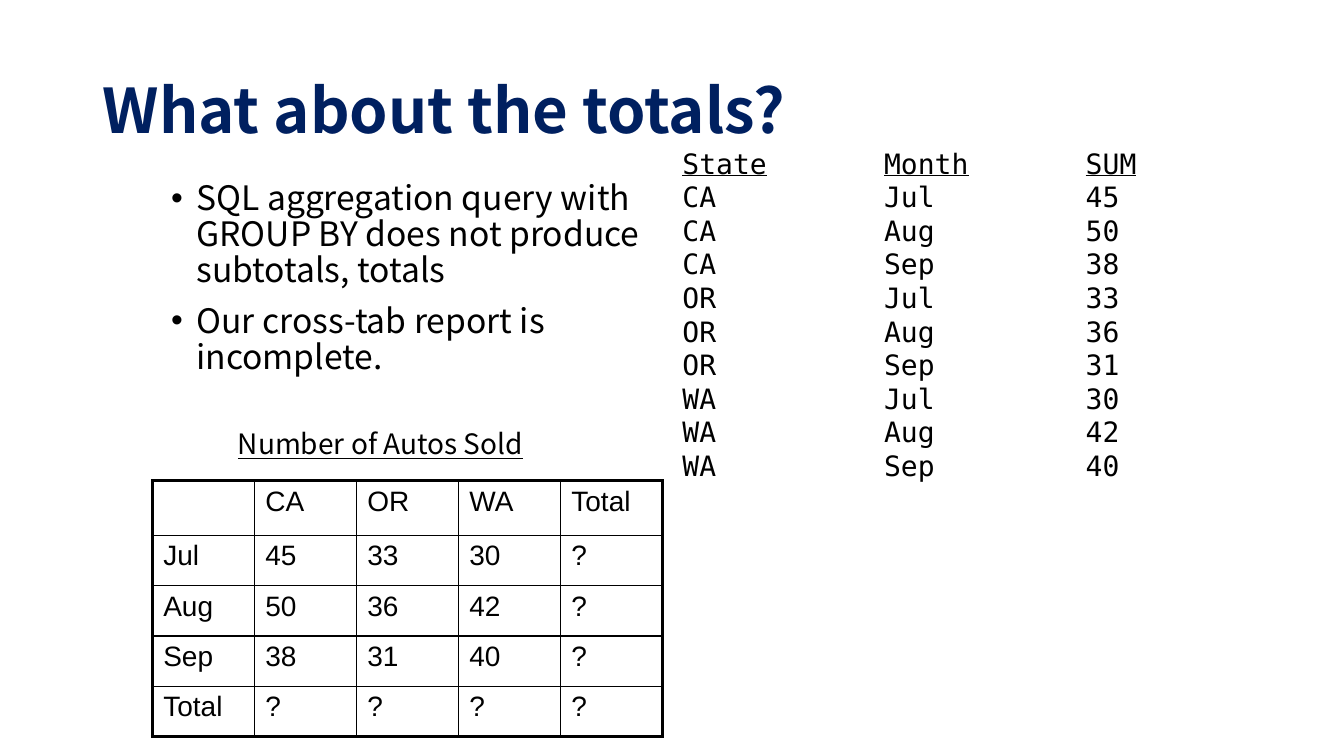
from lxml import etree
from pptx import Presentation
from pptx.dml.color import RGBColor
from pptx.enum.text import MSO_ANCHOR
from pptx.oxml.ns import qn
from pptx.util import Emu, Pt

PX = 9144  # 100 px to the inch
MIDDLE, TOP = MSO_ANCHOR.MIDDLE, MSO_ANCHOR.TOP
COLORS = {"title": "002060", "ink": "000000", "paper": "FFFFFF"}
SANS, MONO, TABLE_FONT = "Noto Sans CJK SC", "DejaVu Sans Mono", "Arial"

BULLETS = [
    "SQL aggregation query with GROUP BY does not produce subtotals, totals",
    "Our cross-tab report is incomplete.",
]
STATES = ["CA", "OR", "WA"]
MONTHS = ["Jul", "Aug", "Sep"]
SALES = {"CA": [45, 50, 38], "OR": [33, 36, 31], "WA": [30, 42, 40]}


def px(length):
    return Emu(length * PX)


def rgb(name):
    return RGBColor.from_string(COLORS[name])


def add_text(paragraph, text, *, size, font=SANS, color="ink", bold=False,
             underline=False):
    run = paragraph.add_run()
    run.text = text
    run.font.size = Pt(size)
    run.font.name = font
    run.font.color.rgb = rgb(color)
    run.font.bold = bold
    run.font.underline = underline


def add_paragraphs(slide, box, count, anchor=TOP, spacing=1.0, before=0):
    """Add a wrapping text box and return its empty paragraphs."""
    frame = slide.shapes.add_textbox(*map(px, box)).text_frame
    frame.word_wrap = True
    frame.vertical_anchor = anchor
    paragraphs = [frame.paragraphs[0]]
    paragraphs += [frame.add_paragraph() for _ in range(count - 1)]
    for paragraph in paragraphs:
        paragraph.line_spacing = spacing
        paragraph.space_before = Pt(before)
    return paragraphs


def set_bullet(paragraph, indent):
    props = paragraph._p.get_or_add_pPr()
    props.set("marL", str(px(indent)))
    props.set("indent", str(px(-indent)))
    etree.SubElement(props, qn("a:buFont"), typeface="Arial")
    etree.SubElement(props, qn("a:buChar"), char="•")


def set_tabs(paragraph, stops):
    tabs = etree.SubElement(paragraph._p.get_or_add_pPr(), qn("a:tabLst"))
    for stop in stops:
        etree.SubElement(tabs, qn("a:tab"), pos=str(px(stop)), algn="l")


def set_border(cell, side, width):
    line = etree.SubElement(cell._tc.get_or_add_tcPr(), qn(f"a:ln{side}"),
                            w=str(Pt(width)))
    fill = etree.SubElement(line, qn("a:solidFill"))
    etree.SubElement(fill, qn("a:srgbClr"), val=COLORS["ink"])


def add_query_result(slide):
    rows = [(state, month, str(total)) for state in STATES
            for month, total in zip(MONTHS, SALES[state])]
    header, *lines = add_paragraphs(slide, (667, 140, 562, 377), len(rows) + 1)
    for paragraph in (header, *lines):
        set_tabs(paragraph, (200, 400))
    for column, heading in enumerate(("State", "Month", "SUM")):
        if column:
            add_text(header, "\t", size=20, font=MONO)
        add_text(header, heading, size=20, font=MONO, underline=True)
    for paragraph, row in zip(lines, rows):
        add_text(paragraph, "\t".join(row), size=20, font=MONO)


def add_cross_tab(slide):
    rows = [["", *STATES, "Total"]]
    rows += [[month, *(str(SALES[state][i]) for state in STATES), "?"]
             for i, month in enumerate(MONTHS)]
    rows.append(["Total", *"????"])
    last = len(rows) - 1
    table = slide.shapes.add_table(len(rows), len(rows[0]), px(151), px(477),
                                   px(506), px(254)).table
    table.first_row = table.horz_banding = False
    for column in table.columns:
        column.width = px(506) // len(rows[0])
    for r, row in enumerate(rows):
        table.rows[r].height = px(50 if r else 54)
        for c, value in enumerate(row):
            cell = table.cell(r, c)
            cell.margin_left = cell.margin_right = px(11)
            cell.margin_top = cell.margin_bottom = px(5)
            # Heavy outer frame, thin inner grid
            outer = {"L": c == 0, "R": c == last, "T": r == 0, "B": r == last}
            for side, is_outer in outer.items():
                set_border(cell, side, 2.25 if is_outer else 1)
            cell.fill.solid()
            cell.fill.fore_color.rgb = rgb("paper")
            add_text(cell.text_frame.paragraphs[0], value, size=20,
                     font=TABLE_FONT)


def main():
    prs = Presentation()
    prs.slide_width, prs.slide_height = px(1333), px(750)
    slide = prs.slides.add_slide(prs.slide_layouts[6])

    # Title
    title, = add_paragraphs(slide, (92, 40, 1150, 145), 1, MIDDLE, 0.9)
    add_text(title, "What about the totals?", size=44, color="title", bold=True)

    # Bullet points
    points = add_paragraphs(slide, (160, 175, 497, 225), len(BULLETS),
                            spacing=0.9, before=10)
    for point, text in zip(points, BULLETS):
        set_bullet(point, 25)
        add_text(point, text, size=24)

    # Cross-tab report with its caption
    add_cross_tab(slide)
    caption, = add_paragraphs(slide, (226, 418, 375, 43), 1)
    add_text(caption, "Number of Autos Sold", size=20, underline=True)

    # Query result
    add_query_result(slide)
    prs.save("out.pptx")


if __name__ == "__main__":
    main()
